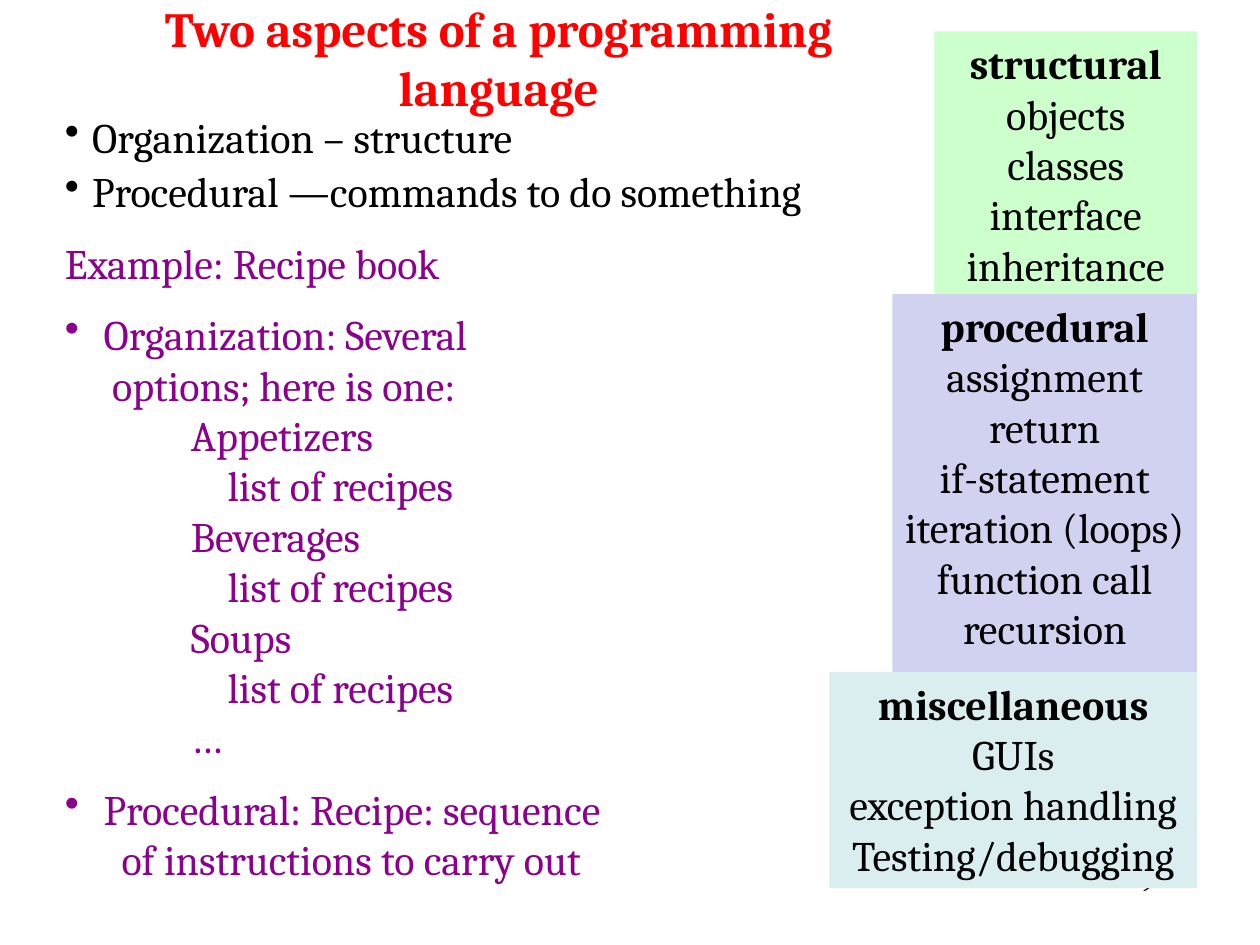
from lxml import etree
from pptx import Presentation
from pptx import util as u
from pptx.dml.color import RGBColor
from pptx.enum import shapes, text
from pptx.oxml import ns

PX = 7620
BLACK = RGBColor(0x00, 0x00, 0x00)
RED = RGBColor(0xFF, 0x00, 0x00)
PURPLE = RGBColor(0x8B, 0x00, 0x8C)
GREEN = RGBColor(0xCC, 0xFF, 0xCC)
LAVENDER = RGBColor(0xD1, 0xD1, 0xF0)
TEAL = RGBColor(0xDA, 0xED, 0xEF)


def px(*values):
    return [v * PX for v in values]


def add_line(tf, i, words, color=BLACK, size=24, bold=False, align=None,
             before=0, margin=0, bullet=False):
    p = tf.paragraphs[0] if i == 0 else tf.add_paragraph()
    pPr = p._p.get_or_add_pPr()
    pPr.set("marL", str(margin * PX))
    pPr.set("indent", str(-margin * PX if bullet else 0))
    if bullet:
        etree.SubElement(pPr, ns.qn("a:buChar")).set("char", "•")
    p.alignment = align
    p.space_before = u.Pt(before)
    r = p.add_run()
    r.text = words
    r.font.name = "Cambria"
    r.font.size = u.Pt(size)
    r.font.bold = bold
    r.font.color.rgb = color


prs = Presentation()
prs.slide_width, prs.slide_height = px(1200, 900)
s = prs.slides.add_slide(prs.slide_layouts[5])

title = s.shapes.title
title.left, title.top, title.width, title.height = px(60, 20, 830, 70)
tf = title.text_frame
tf.word_wrap = True
tf.auto_size = text.MSO_AUTO_SIZE.NONE
tf.vertical_anchor = text.MSO_ANCHOR.MIDDLE
add_line(tf, 0, "Two aspects of a programming language", RED, 28, True,
         text.PP_ALIGN.CENTER)

tf = s.shapes.add_textbox(*px(860, 820, 250, 60)).text_frame
tf.word_wrap = True
add_line(tf, 0, "9", size=14, align=text.PP_ALIGN.RIGHT)

tf = s.shapes.add_textbox(*px(50, 100, 750, 114)).text_frame
tf.word_wrap = True
aspects = ["Organization – structure", "Procedural —commands to do something"]
for i, words in enumerate(aspects):
    add_line(tf, i, words, before=2.4 * i, margin=26, bullet=True)

recipe_lines = [
    ("Example: Recipe book", 0, 0, False),
    ("Organization: Several", 12, 37, True),
    ("options; here is one:", 0, 45, False),
]
for course in ["Appetizers", "Beverages", "Soups"]:
    recipe_lines += [(course, 0, 120, False), ("list of recipes", 0, 155, False)]
recipe_lines += [
    ("…", 0, 120, False),
    ("Procedural: Recipe: sequence", 12, 37, True),
    ("of instructions to carry out", 0, 54, False),
]
tf = s.shapes.add_textbox(*px(50, 220, 610, 642)).text_frame
tf.word_wrap = True
for i, (words, before, margin, bullet) in enumerate(recipe_lines):
    add_line(tf, i, words, PURPLE, before=before, margin=margin, bullet=bullet)

topics = [
    (890, 30, 254, GREEN,
     ["structural", "objects", "classes", "interface", "inheritance"]),
    (850, 280, 400, LAVENDER,
     ["procedural", "assignment", "return", "if-statement",
      "iteration (loops)", "function call", "recursion"]),
    (790, 640, 206, TEAL,
     ["miscellaneous", "GUIs", "exception handling", "Testing/debugging"]),
]
right = 1140
group = s.shapes.add_group_shape()
for left, top, height, fill, lines in topics:
    sp = group.shapes.add_shape(shapes.MSO_SHAPE.RECTANGLE,
                                *px(left, top, right - left, height))
    sp.shadow.inherit = False
    sp.fill.solid()
    sp.fill.fore_color.rgb = fill
    sp.line.fill.background()
    tf = sp.text_frame
    tf.word_wrap = True
    tf.vertical_anchor = text.MSO_ANCHOR.TOP
    for i, words in enumerate(lines):
        add_line(tf, i, words, bold=i == 0, align=text.PP_ALIGN.CENTER)

prs.save("out.pptx")
